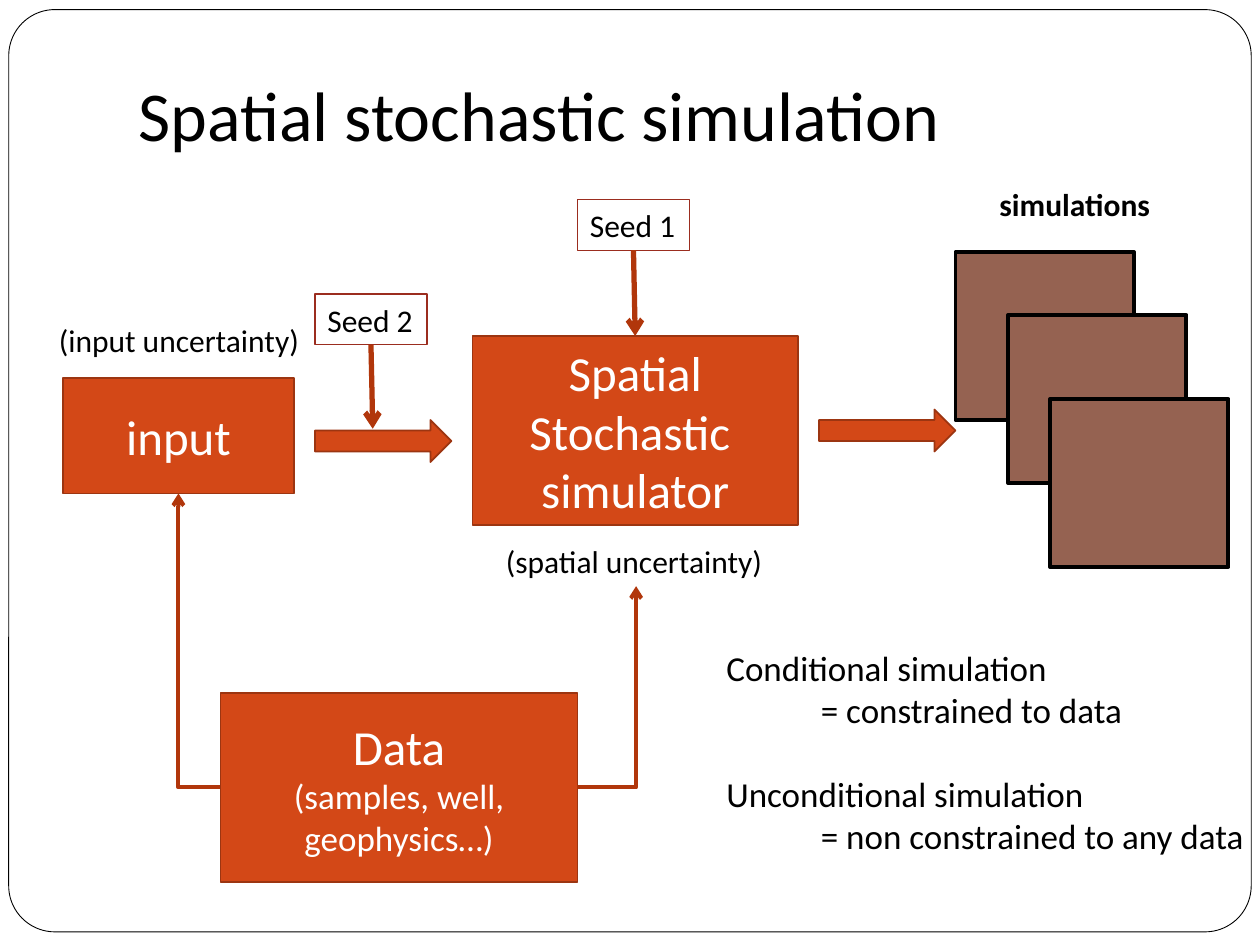
import pptx
import pptx.util
import pptx.dml.color
import pptx.enum.shapes
import pptx.enum.text
import pptx.oxml
import pptx.oxml.ns

Pt = pptx.util.Pt
qn = pptx.oxml.ns.qn
SHAPE = pptx.enum.shapes.MSO_SHAPE
CONNECTOR = pptx.enum.shapes.MSO_CONNECTOR
ALIGN = pptx.enum.text.PP_ALIGN
ANCHOR = pptx.enum.text.MSO_ANCHOR
RGB = pptx.dml.color.RGBColor.from_string

COLORS = {
    "black": "000000",
    "white": "FFFFFF",
    "box": "D34817",
    "box_edge": "9C3511",
    "seed_edge": "9B2D1F",
    "link": "B1360B",
    "simulation": "956251",
}


def write(frame, text, size=18, color="black", align=ALIGN.LEFT, bold=False, indent=0, before=0):
    paragraph = frame.add_paragraph() if frame.text else frame.paragraphs[0]
    paragraph.alignment = align
    paragraph.space_before = Pt(before)
    if indent:
        paragraph._p.get_or_add_pPr().set("marL", str(Pt(indent)))
    run = paragraph.add_run()
    run.text = text
    run.font.name = "Calibri"
    run.font.size = Pt(size)
    run.font.bold = bold
    run.font.color.rgb = RGB(COLORS[color])


def draw(kind, bounds, fill, edge, weight):
    shape = slide.shapes.add_shape(kind, *map(Pt, bounds))
    shape.shadow.inherit = False
    if fill:
        shape.fill.solid()
        shape.fill.fore_color.rgb = RGB(COLORS[fill])
    else:
        shape.fill.background()
    shape.line.color.rgb = RGB(COLORS[edge])
    shape.line.width = Pt(weight)
    return shape


deck = pptx.Presentation()
deck.slide_width, deck.slide_height = Pt(720), Pt(540)
slide = deck.slides.add_slide(deck.slide_layouts[5])

frame = draw(SHAPE.ROUNDED_RECTANGLE, (5, 5.5, 710, 527), "white", "black", 0.5)
frame.adjustments[0] = 0.05
slide.shapes._spTree.insert(2, frame._element)

title = slide.shapes.title
title.left, title.top, title.width, title.height = Pt(72), Pt(6), Pt(612), Pt(90)
title.text_frame.vertical_anchor = ANCHOR.BOTTOM
title.text_frame.margin_bottom = Pt(7.2)
write(title.text_frame, "Spatial stochastic simulation", size=40)

boxes = {}
for name, bounds, lines in [
    ("simulator", (270, 192, 186, 108), [("Spatial", 28), ("Stochastic ", 28), ("simulator", 28)]),
    ("input", (36, 216, 132, 66), [("input", 28)]),
    ("data", (126, 396, 204, 108), [("Data", 28), ("(samples, well, geophysics…)", 20)]),
]:
    box = boxes[name] = draw(SHAPE.RECTANGLE, bounds, "box", "box_edge", 1)
    box.text_frame.vertical_anchor = ANCHOR.MIDDLE
    for text, size in lines:
        write(box.text_frame, text, size=size, color="white", align=ALIGN.CENTER)

seeds = {}
for name, left, top in [("Seed 1", 330, 114), ("Seed 2", 180, 168)]:
    seed = seeds[name] = draw(SHAPE.RECTANGLE, (left, top, 64, 29), None, "seed_edge", 0.75)
    seed.text_frame.word_wrap = False
    write(seed.text_frame, name)

for left, top in [(180, 240), (468, 234)]:
    draw(SHAPE.RIGHT_ARROW, (left, top, 78, 24), "box", "box_edge", 1)

for left, top in [(546, 144), (576, 180), (600, 228)]:
    draw(SHAPE.RECTANGLE, (left, top, 102, 96), "simulation", "black", 2.25)

links = []
for kind, ends, weight in [
    (CONNECTOR.STRAIGHT, (362, 143, 363, 192), 3),
    (CONNECTOR.STRAIGHT, (212, 197, 213, 245), 3),
    (CONNECTOR.ELBOW, (126, 450, 102, 282), 2.25),
    (CONNECTOR.ELBOW, (330, 450, 363.5, 335), 2.25),
]:
    link = slide.shapes.add_connector(kind, *map(Pt, ends))
    link.line.color.rgb = RGB(COLORS["link"])
    link.line.width = Pt(weight)
    properties = link._element.spPr
    if kind == CONNECTOR.ELBOW:
        properties.find(qn("a:prstGeom")).set("prst", "bentConnector2")
    head = pptx.oxml.parse_xml(f'<a:tailEnd {pptx.oxml.ns.nsdecls("a")} type="arrow"/>')
    properties.find(qn("a:ln")).append(head)
    properties.append(pptx.oxml.parse_xml(f'<a:effectLst {pptx.oxml.ns.nsdecls("a")}/>'))
    links.append(link)

links[0].begin_connect(seeds["Seed 1"], 2)
links[0].end_connect(boxes["simulator"], 0)
links[1].begin_connect(seeds["Seed 2"], 2)

for bounds, paragraphs in [
    ((564, 102, 101.5, 29), [("simulations", dict(bold=True))]),
    ((282, 306, 163, 29), [("(spatial uncertainty)", {})]),
    ((26.5, 180, 153.5, 29), [("(input uncertainty)", {})]),
    ((408, 366, 313, 128), [
        ("Conditional simulation", dict(size=20)),
        ("= constrained to data", dict(size=20, indent=54)),
        ("Unconditional simulation", dict(size=20, before=24)),
        ("= non constrained to any data", dict(size=20, indent=54)),
    ]),
]:
    label = slide.shapes.add_textbox(*map(Pt, bounds)).text_frame
    label.word_wrap = False
    label.auto_size = pptx.enum.text.MSO_AUTO_SIZE.SHAPE_TO_FIT_TEXT
    for text, style in paragraphs:
        write(label, text, **style)

deck.save("out.pptx")
